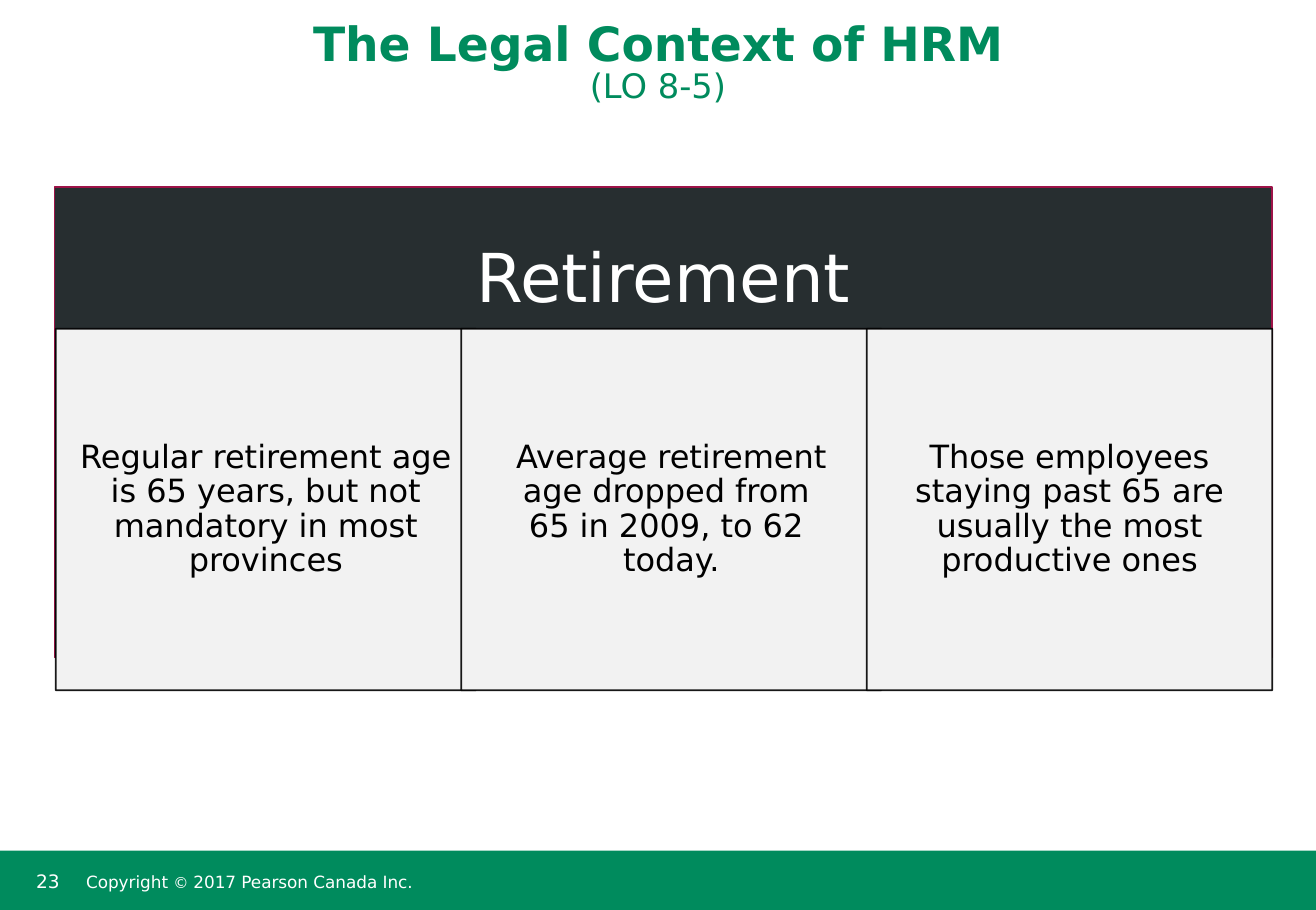
from collections import namedtuple

from lxml import etree
from pptx import Presentation
from pptx.dml.color import RGBColor
from pptx.enum.shapes import MSO_SHAPE
from pptx.enum.text import MSO_ANCHOR, PP_ALIGN
from pptx.oxml.ns import qn
from pptx.util import Inches, Pt

RECTANGLE = MSO_SHAPE.RECTANGLE
TOP, MIDDLE, BOTTOM = MSO_ANCHOR.TOP, MSO_ANCHOR.MIDDLE, MSO_ANCHOR.BOTTOM
LEFT, CENTER = PP_ALIGN.LEFT, PP_ALIGN.CENTER

FONT = "DejaVu Sans"
COLORS = {
    "green": "008B5D",
    "white": "FFFFFF",
    "charcoal": "272E30",
    "maroon": "9D1348",
    "pale": "F2F2F2",
    "black": "000000",
}
WIDTH, HEIGHT = 10.85, 7.5
Box = namedtuple("Box", "left top width height")

RETIREMENT_FACTS = [
    "Regular retirement age is 65 years, but not mandatory in most provinces",
    "Average retirement age dropped from \n65 in 2009, to 62 \ntoday.",
    "Those employees staying past 65 are usually the most productive ones",
]


def color(name):
    return RGBColor.from_string(COLORS[name])


def write(shape, runs, ink, align=LEFT, anchor=TOP, insets=(0.1, 0.05, 0.1, 0.05),
          spacing=1.0, before=0, after=0):
    """Fill a shape with one paragraph of (text, size, bold) runs."""
    frame = shape.text_frame
    frame.word_wrap = True
    frame.vertical_anchor = anchor
    (frame.margin_left, frame.margin_top,
     frame.margin_right, frame.margin_bottom) = map(Inches, insets)
    paragraph = frame.paragraphs[0]
    paragraph.alignment = align
    paragraph.line_spacing = spacing
    paragraph.space_before, paragraph.space_after = Pt(before), Pt(after)
    for text, size, bold in runs:
        for index, line in enumerate(text.split("\n")):
            if index:
                paragraph.add_line_break()
            if line:
                run = paragraph.add_run()
                run.text = line
                run.font.name, run.font.size, run.font.bold = FONT, Pt(size), bold
                run.font.color.rgb = color(ink)


def text_box(slide, box):
    return slide.shapes.add_textbox(*map(Inches, box))


def panel(slide, box, fill, line=None, opacity=100):
    shape = slide.shapes.add_shape(RECTANGLE, *map(Inches, box))
    shape.shadow.inherit = False
    shape.fill.solid()
    shape.fill.fore_color.rgb = color(fill)
    if line is None:
        shape.line.fill.background()
        return shape
    shape.line.color.rgb = color(line)
    shape.line.width = Pt(1)
    if opacity < 100:
        line_color = shape.line._ln.find(".//" + qn("a:srgbClr"))
        etree.SubElement(line_color, qn("a:alpha")).set("val", str(opacity * 1000))
    return shape


def add_footer(slide, box):
    panel(slide, box, "green")
    write(text_box(slide, Box(box.left + 0.2, box.top + 0.11, 0.47, 0.32)),
          [("23", 11, False)], "white")
    write(text_box(slide, Box(box.left + 0.66, box.top, 5.78, box.height)),
          [("Copyright ", 10, False), ("© ", 9, False),
           ("2017 Pearson Canada Inc.", 10, False)],
          "white", anchor=MIDDLE, insets=(0.05, 0.1, 0.05, 0.05),
          spacing=0.85, before=7)


def add_title(slide, box):
    write(text_box(slide, box),
          [("The Legal Context of HRM\n", 28, True), ("(LO 8-5)", 20, False)],
          "green", align=CENTER, anchor=BOTTOM, spacing=0.85, after=6.5)


def add_topic_table(slide, box, topic, facts):
    """Place a dark panel headed by the topic, with overlapping fact cells on it."""
    heading = panel(slide, box._replace(height=3.88), "charcoal", "maroon")
    write(heading, [(topic, 40, False)], "white", align=CENTER, anchor=MIDDLE,
          insets=(0.51, 0.51, 0.51, 2.84), spacing=0.9, after=17.5)

    nudge, overlap, heading_height = 0.01, 0.12, 1.17
    right = box.left + box.width
    pitch = (box.width - nudge) / len(facts)
    for column, fact in enumerate(facts):
        left = box.left + nudge + column * pitch
        cell = Box(left, box.top + heading_height,
                   min(pitch + overlap, right - left), box.height - heading_height)
        write(panel(slide, cell, "pale", "black", opacity=90),
              [(fact, 19, False)], "black", align=CENTER, anchor=MIDDLE,
              insets=(0.2, 0.04, 0.2, 0.04), spacing=0.9, after=8.2)


def main():
    deck = Presentation()
    deck.slide_width, deck.slide_height = Inches(WIDTH), Inches(HEIGHT)
    slide = deck.slides.add_slide(deck.slide_layouts[6])
    add_footer(slide, Box(0, 7.01, WIDTH, HEIGHT - 7.01))
    add_title(slide, Box(0, 0, WIDTH, 0.92))
    add_topic_table(slide, Box(0.45, 1.54, 10.04, 4.15), "Retirement", RETIREMENT_FACTS)
    deck.save("out.pptx")


if __name__ == "__main__":
    main()
